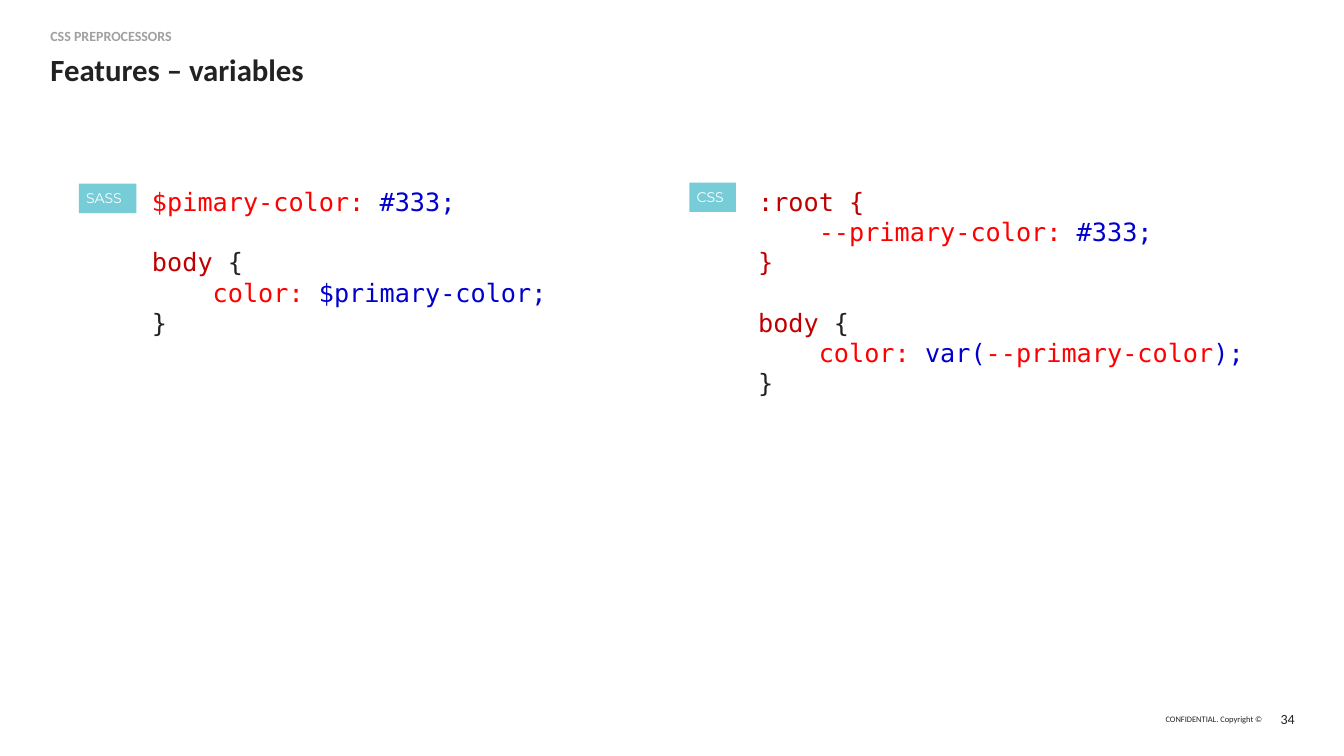
from pptx import Presentation
from pptx.dml.color import RGBColor
from pptx.enum.shapes import MSO_SHAPE
from pptx.enum.text import MSO_ANCHOR, PP_ALIGN
from pptx.util import Cm, Pt

INK = RGBColor(0x22, 0x22, 0x22)
GREY = RGBColor(0xA0, 0xA0, 0xA0)
WHITE = RGBColor(0xFF, 0xFF, 0xFF)
TEAL = RGBColor(0x76, 0xCD, 0xD8)
SELECTOR = RGBColor(0xC0, 0x00, 0x00)
PROPERTY = RGBColor(0xFF, 0x00, 0x00)
VALUE = RGBColor(0x00, 0x00, 0xCD)
CODE_FONT = "DejaVu Sans Mono"
BLANK_LINE = Pt(21.6)

deck = Presentation()
deck.slide_width, deck.slide_height = Cm(33.86), Cm(19.05)
page = deck.slides.add_slide(deck.slide_layouts[6])


def set_margins(frame, across, down):
    frame.margin_left = frame.margin_right = Cm(across)
    frame.margin_top = frame.margin_bottom = Cm(down)


def style(para, name, size, color, bold=False):
    para.font.name = name
    para.font.size = Pt(size)
    para.font.bold = bold
    para.font.color.rgb = color


# Heading and footer: text, place, size, colour, bold, alignment, anchor
LEFT, RIGHT = PP_ALIGN.LEFT, PP_ALIGN.RIGHT
TOP, MIDDLE = MSO_ANCHOR.TOP, MSO_ANCHOR.MIDDLE
labels = [
    ("CSS PREPROCESSORS", (1.27, 0.64, 10.03, 0.64), 10, GREY, True, LEFT, TOP),
    ("Features – variables", (1.27, 1.27, 31.32, 1.27), 22, INK, True, LEFT, TOP),
    ("CONFIDENTIAL. Copyright ©", (29.18, 17.81, 2.62, 0.61), 6, INK, False, RIGHT, MIDDLE),
    ("34", (31.93, 17.81, 0.69, 0.61), 10, INK, False, RIGHT, MIDDLE),
]
for text, place, size, color, bold, align, anchor in labels:
    frame = page.shapes.add_textbox(*map(Cm, place)).text_frame
    frame.word_wrap = True
    frame.vertical_anchor = anchor
    set_margins(frame, 0, 0)
    para = frame.paragraphs[0]
    para.text = text
    para.alignment = align
    if color == GREY:
        para.line_spacing = 1.1
    style(para, "Calibri", size, color, bold)

# Code listings: one list per line, an empty list is a blank line
sass = [
    [("$pimary-color: ", PROPERTY), ("#333;", VALUE)],
    [],
    [("body", SELECTOR), (" {", INK)],
    [("    color: ", PROPERTY), ("$primary-color;", VALUE)],
    [("}", INK)],
]
css = [
    [(":root {", SELECTOR)],
    [("    --primary-color: ", PROPERTY), ("#333;", VALUE)],
    [("}", SELECTOR)],
    [],
    [("body", SELECTOR), (" {", INK)],
    [("    color: ", PROPERTY), ("var(", VALUE), ("--primary-color", PROPERTY), (");", VALUE)],
    [("}", INK)],
]
panels = [
    ("SASS", (1.99, 4.63, 1.45, 0.74), sass, (3.58, 4.57, 12.01, 4.11)),
    ("CSS", (17.37, 4.6, 1.17, 0.74), css, (18.85, 4.57, 12.98, 5.64)),
]
for language, tag_place, lines, code_place in panels:
    # Code text
    frame = page.shapes.add_textbox(*map(Cm, code_place)).text_frame
    frame.word_wrap = True
    para, gap = frame.paragraphs[0], False
    for number, line in enumerate(lines):
        if not line:
            gap = True
            continue
        if number:
            para = frame.add_paragraph()
        if gap:
            para.space_before = BLANK_LINE
            gap = False
        para.font.name = CODE_FONT
        para.font.size = Pt(18)
        for text, color in line:
            span = para.add_run()
            span.text = text
            span.font.color.rgb = color

    # Language tag
    tag = page.shapes.add_shape(MSO_SHAPE.RECTANGLE, *map(Cm, tag_place))
    tag.shadow.inherit = False
    tag.fill.solid()
    tag.fill.fore_color.rgb = TEAL
    tag.line.fill.background()
    frame = tag.text_frame
    frame.word_wrap = False
    frame.vertical_anchor = MIDDLE
    set_margins(frame, 0.18, 0.15)
    para = frame.paragraphs[0]
    para.text = language
    para.alignment = LEFT
    style(para, "Montserrat", 10, WHITE)

deck.save("out.pptx")
